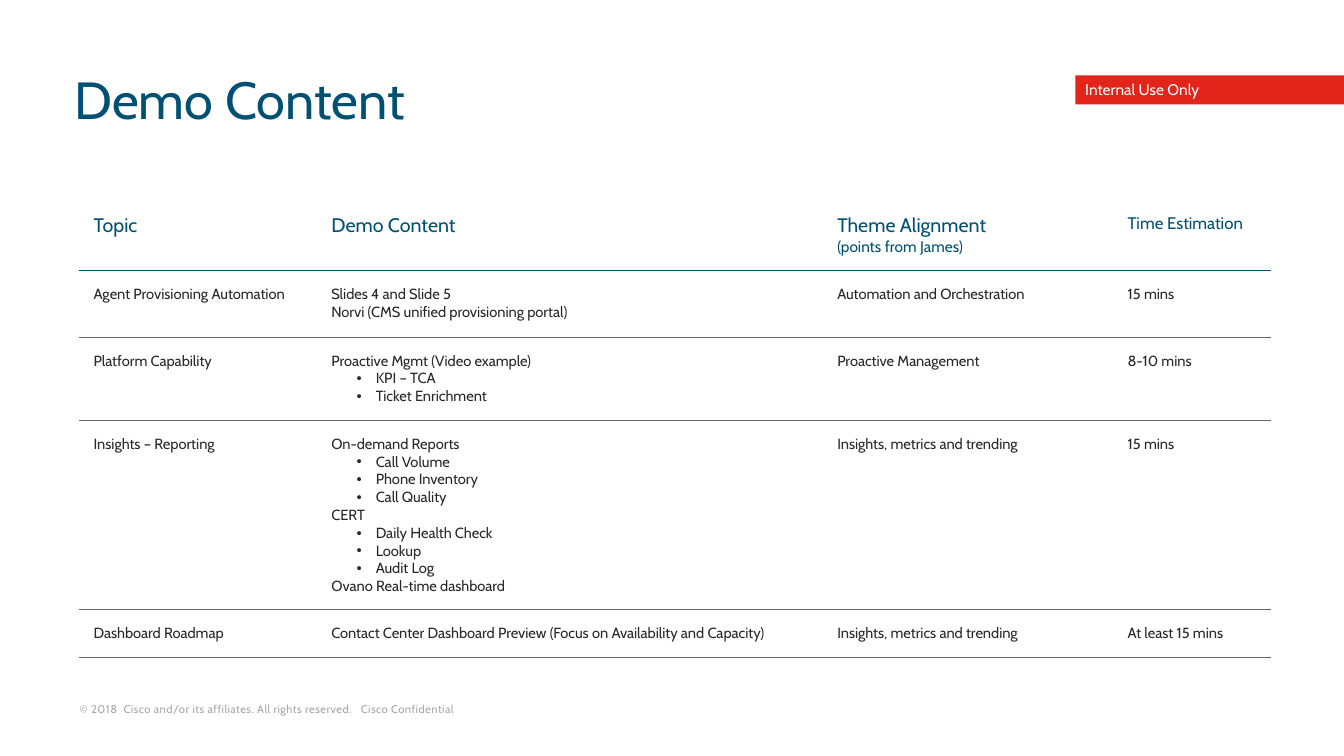
from dataclasses import dataclass

from lxml import etree
from pptx import Presentation
from pptx.dml.color import RGBColor
from pptx.enum.shapes import MSO_SHAPE
from pptx.enum.text import MSO_ANCHOR, PP_ALIGN
from pptx.oxml.ns import qn
from pptx.util import Cm, Pt

RECTANGLE = MSO_SHAPE.RECTANGLE
TOP, MIDDLE, BOTTOM = MSO_ANCHOR.TOP, MSO_ANCHOR.MIDDLE, MSO_ANCHOR.BOTTOM
LEFT = PP_ALIGN.LEFT

FONT = "Cabin"
NAVY, INK, RULE = "005073", "282828", "676767"
RED, WHITE, PALE = "E3241B", "FFFFFF", "A6A6A6"

COLUMN_WIDTHS = (5.99, 12.75, 7.32, 3.99)
CELL_MARGIN = Cm(0.38)


@dataclass(frozen=True)
class Line:
    text: str
    size: float = 10.5
    color: str = INK
    bullet: bool = False


@dataclass(frozen=True)
class Row:
    height: float
    cells: tuple[list[Line], ...]
    rule_color: str = RULE
    rule_width: float = 0.5


@dataclass(frozen=True)
class Box:
    left: float
    top: float
    width: float
    height: float
    margin_x: float
    margin_y: float
    anchor: MSO_ANCHOR


def bullets(*texts: str) -> list[Line]:
    return [Line(text, bullet=True) for text in texts]


def heading(text: str, size: float = 14) -> Line:
    return Line(text, size, NAVY)


ROWS = (
    Row(1.8, (
        [heading("Topic")],
        [heading("Demo Content")],
        [heading("Theme Alignment"), heading("(points from James)", 11)],
        [heading("Time Estimation", 12)],
    ), NAVY, 1),
    Row(1.67, (
        [Line("Agent Provisioning Automation")],
        [Line("Slides 4 and Slide 5"), Line("Norvi (CMS unified provisioning portal)")],
        [Line("Automation and Orchestration")],
        [Line("15 mins")],
    )),
    Row(2.09, (
        [Line("Platform Capability")],
        [Line("Proactive Mgmt (Video example)"), *bullets("KPI – TCA", "Ticket Enrichment")],
        [Line("Proactive Management")],
        [Line("8-10 mins")],
    )),
    Row(4.76, (
        [Line("Insights – Reporting")],
        [Line("On-demand Reports"), *bullets("Call Volume", "Phone Inventory", "Call Quality"),
         Line("CERT"), *bullets("Daily Health Check", "Lookup", "Audit Log"),
         Line("Ovano Real-time dashboard")],
        [Line("Insights, metrics and trending")],
        [Line("15 mins")],
    )),
    Row(1.21, (
        [Line("Dashboard Roadmap")],
        [Line("Contact Center Dashboard Preview (Focus on Availability and Capacity)")],
        [Line("Insights, metrics and trending")],
        [Line("At least 15 mins")],
    )),
)


def rgb(color: str) -> RGBColor:
    return RGBColor.from_string(color)


def write_lines(frame, lines: list[Line]) -> None:
    frame.text = "\n".join(line.text for line in lines)
    for paragraph, line in zip(frame.paragraphs, lines):
        paragraph.alignment = LEFT
        if line.bullet:
            properties = paragraph._p.get_or_add_pPr()
            properties.set("marL", str(Cm(1.12)))
            properties.set("indent", str(-Cm(0.48)))
            etree.SubElement(properties, qn("a:buFont")).set("typeface", "Arial")
            etree.SubElement(properties, qn("a:buChar")).set("char", "•")
        for run in paragraph.runs:
            run.font.name = FONT
            run.font.size = Pt(line.size)
            run.font.color.rgb = rgb(line.color)


def fill_box(shape, box: Box, line: Line) -> None:
    frame = shape.text_frame
    frame.word_wrap = True
    frame.vertical_anchor = box.anchor
    frame.margin_left = frame.margin_right = Cm(box.margin_x)
    frame.margin_top = frame.margin_bottom = Cm(box.margin_y)
    write_lines(frame, [line])


def place(box: Box) -> tuple[Cm, Cm, Cm, Cm]:
    return Cm(box.left), Cm(box.top), Cm(box.width), Cm(box.height)


def set_borders(cell, above: Row | None, row: Row) -> None:
    """Rule the cell above and below only; borders precede the fill."""
    properties = cell._tc.get_or_add_tcPr()
    sides = (("a:lnL", None), ("a:lnR", None), ("a:lnT", above), ("a:lnB", row))
    for position, (tag, source) in enumerate(sides):
        border = etree.Element(qn(tag))
        if source is None:
            etree.SubElement(border, qn("a:noFill"))
        else:
            border.set("w", str(Pt(source.rule_width)))
            solid = etree.SubElement(border, qn("a:solidFill"))
            etree.SubElement(solid, qn("a:srgbClr")).set("val", source.rule_color)
        properties.insert(position, border)


def add_agenda(slide) -> None:
    table = slide.shapes.add_table(
        len(ROWS), len(COLUMN_WIDTHS), Cm(1.98), Cm(5.0),
        Cm(sum(COLUMN_WIDTHS)), Cm(sum(row.height for row in ROWS))).table
    table.first_row = table.horz_banding = False
    for column, width in zip(table.columns, COLUMN_WIDTHS):
        column.width = Cm(width)
    above = None
    for row_index, row in enumerate(ROWS):
        table.rows[row_index].height = Cm(row.height)
        for column_index, lines in enumerate(row.cells):
            cell = table.cell(row_index, column_index)
            cell.vertical_anchor = TOP
            cell.margin_left = cell.margin_right = CELL_MARGIN
            cell.margin_top = cell.margin_bottom = CELL_MARGIN
            cell.fill.background()
            set_borders(cell, above, row)
            write_lines(cell.text_frame, lines)
        above = row


def main() -> None:
    deck = Presentation()
    deck.slide_width, deck.slide_height = Cm(33.87), Cm(19.05)
    slide = deck.slides.add_slide(deck.slide_layouts[6])

    # Copyright line
    copyright_box = Box(1.78, 17.55, 12.6, 0.58, 0.23, 0.1, BOTTOM)
    copyright_line = slide.shapes.add_textbox(*place(copyright_box))
    fill_box(copyright_line, copyright_box, Line(
        "© 2018  Cisco and/or its affiliates. All rights reserved.   Cisco Confidential", 8, PALE))
    run = copyright_line.text_frame.paragraphs[0].runs[0]
    run.font._element.set("spc", "30")

    # Agenda table
    add_agenda(slide)

    # Title
    title_box = Box(1.63, 1.27, 30.91, 2.72, 0.25, 0.13, MIDDLE)
    title = slide.shapes.add_textbox(*place(title_box))
    fill_box(title, title_box, heading("Demo Content", 37.3))
    title.text_frame.paragraphs[0].line_spacing = 0.8

    # Internal use banner
    banner_box = Box(27.1, 1.9, 6.77, 0.73, 0.25, 0.13, MIDDLE)
    banner = slide.shapes.add_shape(RECTANGLE, *place(banner_box))
    banner.shadow.inherit = False
    banner.fill.solid()
    banner.fill.fore_color.rgb = rgb(RED)
    banner.line.fill.background()
    fill_box(banner, banner_box, Line("Internal Use Only", 11, WHITE))

    deck.save("out.pptx")


if __name__ == "__main__":
    main()
